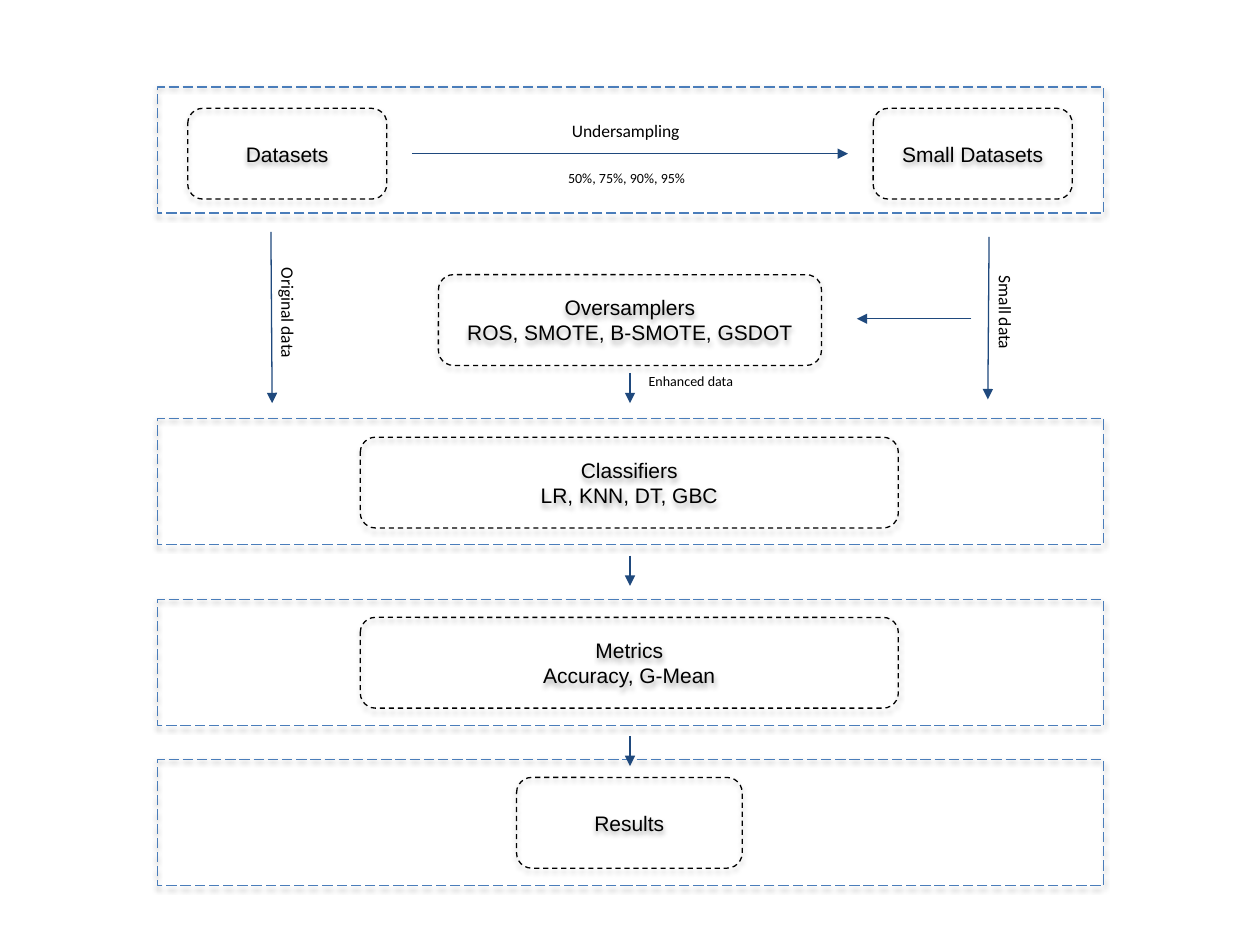
from dataclasses import dataclass

from lxml import etree
from pptx import Presentation
from pptx.dml.color import RGBColor
from pptx.enum.dml import MSO_LINE
from pptx.enum.shapes import MSO_CONNECTOR, MSO_SHAPE
from pptx.enum.text import MSO_ANCHOR, PP_ALIGN
from pptx.oxml.ns import qn
from pptx.util import Pt

RECTANGLE = MSO_SHAPE.RECTANGLE
ROUNDED = MSO_SHAPE.ROUNDED_RECTANGLE
STRAIGHT = MSO_CONNECTOR.STRAIGHT
DASH = MSO_LINE.DASH
LONG_DASH = MSO_LINE.LONG_DASH
MIDDLE = MSO_ANCHOR.MIDDLE
CENTER = PP_ALIGN.CENTER
EMU_PER_PX = 9144
BLANK_LAYOUT = 6


@dataclass(frozen=True)
class Theme:
    frame: RGBColor = RGBColor(0x4A, 0x7D, 0xBA)
    arrow: RGBColor = RGBColor(0x1F, 0x49, 0x7D)
    ink: RGBColor = RGBColor(0, 0, 0)
    step_font: str = "Arial"
    label_font: str = "Calibri"
    step_size: int = 12
    label_size: int = 10
    small_size: int = 8
    line_width: float = 0.75


def px(*lengths):
    return [length * EMU_PER_PX for length in lengths]


class Diagram:
    def __init__(self, slide, theme):
        self.slide = slide
        self.theme = theme

    def outline(self, kind, bounds, color, dash):
        shape = self.slide.shapes.add_shape(kind, *px(*bounds))
        shape.fill.background()
        shape.line.color.rgb = color
        shape.line.width = Pt(self.theme.line_width)
        shape.line.dash_style = dash
        shape.shadow.inherit = False
        effects = shape._element.spPr.find(qn("a:effectLst"))
        shadow = etree.SubElement(effects, qn("a:outerShdw"), blurRad="40000",
                                  dist="23000", dir="5400000", rotWithShape="0")
        black = etree.SubElement(shadow, qn("a:srgbClr"), val="000000")
        etree.SubElement(black, qn("a:alpha"), val="35000")
        return shape

    def set_text(self, paragraph, text, font, size):
        paragraph.text = text
        paragraph.font.name = font
        paragraph.font.size = Pt(size)
        paragraph.font.color.rgb = self.theme.ink

    def frame(self, top):
        self.outline(RECTANGLE, (125, top, 751, 100), self.theme.frame, LONG_DASH)

    def step(self, left, top, width, *lines):
        box = self.outline(ROUNDED, (left, top, width, 72), self.theme.ink, DASH)
        text_frame = box.text_frame
        text_frame.word_wrap = True
        text_frame.vertical_anchor = MIDDLE
        for index, line in enumerate(lines):
            paragraph = text_frame.add_paragraph() if index else text_frame.paragraphs[0]
            self.set_text(paragraph, line, self.theme.step_font, self.theme.step_size)
            paragraph.alignment = CENTER

    def arrow(self, *ends):
        connector = self.slide.shapes.add_connector(STRAIGHT, *px(*ends))
        connector.line.color.rgb = self.theme.arrow
        connector.line.width = Pt(self.theme.line_width)
        properties = connector._element.spPr
        etree.SubElement(properties.find(qn("a:ln")), qn("a:tailEnd"), type="triangle")
        etree.SubElement(properties, qn("a:effectLst"))

    def label(self, bounds, text, size, rotation=0):
        box = self.slide.shapes.add_textbox(*px(*bounds))
        box.rotation = rotation
        text_frame = box.text_frame
        text_frame.word_wrap = True
        text_frame.margin_left = text_frame.margin_right = px(10)[0]
        text_frame.margin_top = text_frame.margin_bottom = px(10)[0]
        self.set_text(text_frame.paragraphs[0], text, self.theme.label_font, size)


def main():
    deck = Presentation()
    deck.slide_width, deck.slide_height = px(1000, 750)
    theme = Theme()
    diagram = Diagram(deck.slides.add_slide(deck.slide_layouts[BLANK_LAYOUT]), theme)

    for top in (69, 332, 476, 603):
        diagram.frame(top)

    diagram.step(149, 86, 158, "Datasets")
    diagram.step(693, 86, 158, "Small Datasets")
    diagram.step(348, 218, 304, "Oversamplers", "ROS, SMOTE, B-SMOTE, GSDOT")
    diagram.step(286, 347, 427, "Classifiers", "LR, KNN, DT, GBC")
    diagram.step(286, 490, 427, "Metrics", "Accuracy, G-Mean")
    diagram.step(410, 617, 179, "Results")

    diagram.arrow(327, 122, 673, 122)
    diagram.arrow(215, 184, 216, 320)
    diagram.arrow(785, 188, 784, 317)
    diagram.arrow(771, 253, 680, 253)
    for top in (296, 441, 584):
        diagram.arrow(500, top, 500, top + 24)

    diagram.label((444, 87, 111, 17), "Undersampling", theme.label_size)
    diagram.label((441, 128, 118, 42), "50%, 75%, 90%, 95%", theme.small_size)
    diagram.label((180, 229, 92, 39), "Original data", theme.label_size, 90)
    diagram.label((756, 229, 79, 39), "Small data", theme.label_size, 90)
    diagram.label((505, 289, 177, 13), "Enhanced data", theme.small_size)

    deck.save("out.pptx")


if __name__ == "__main__":
    main()
